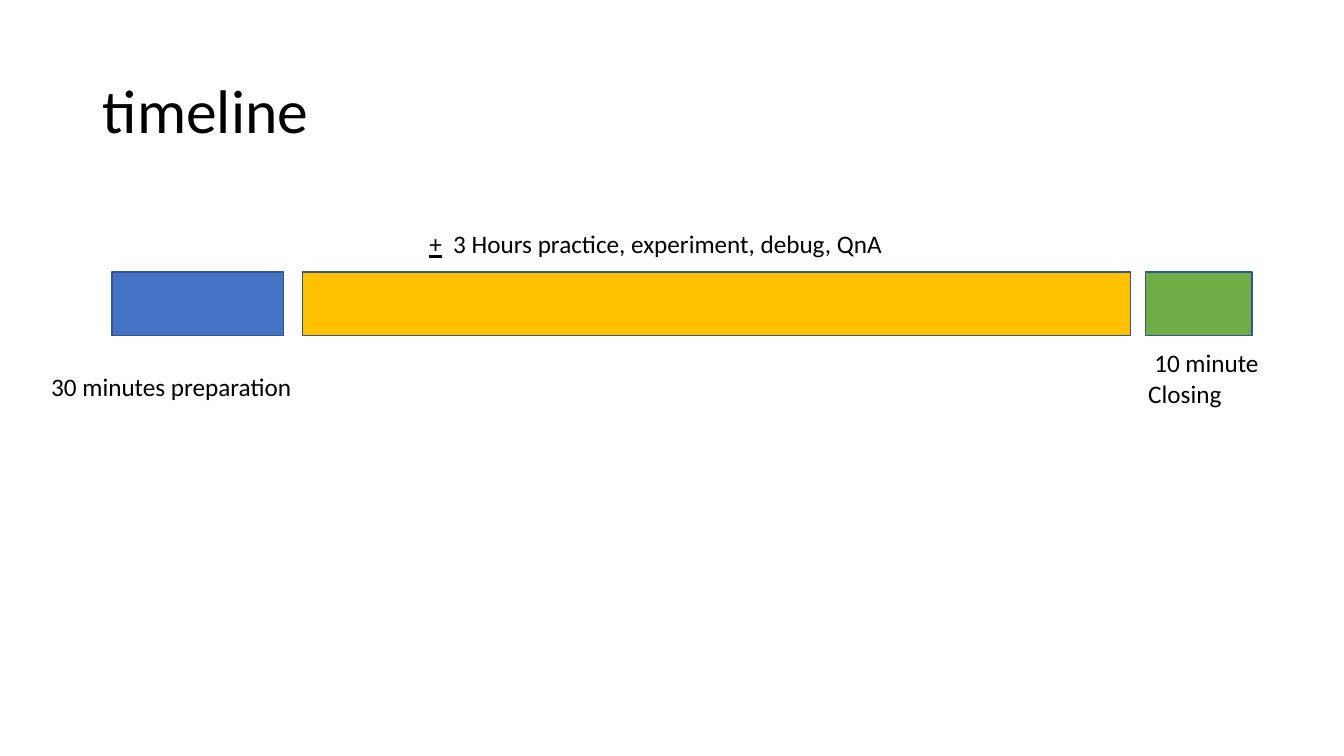
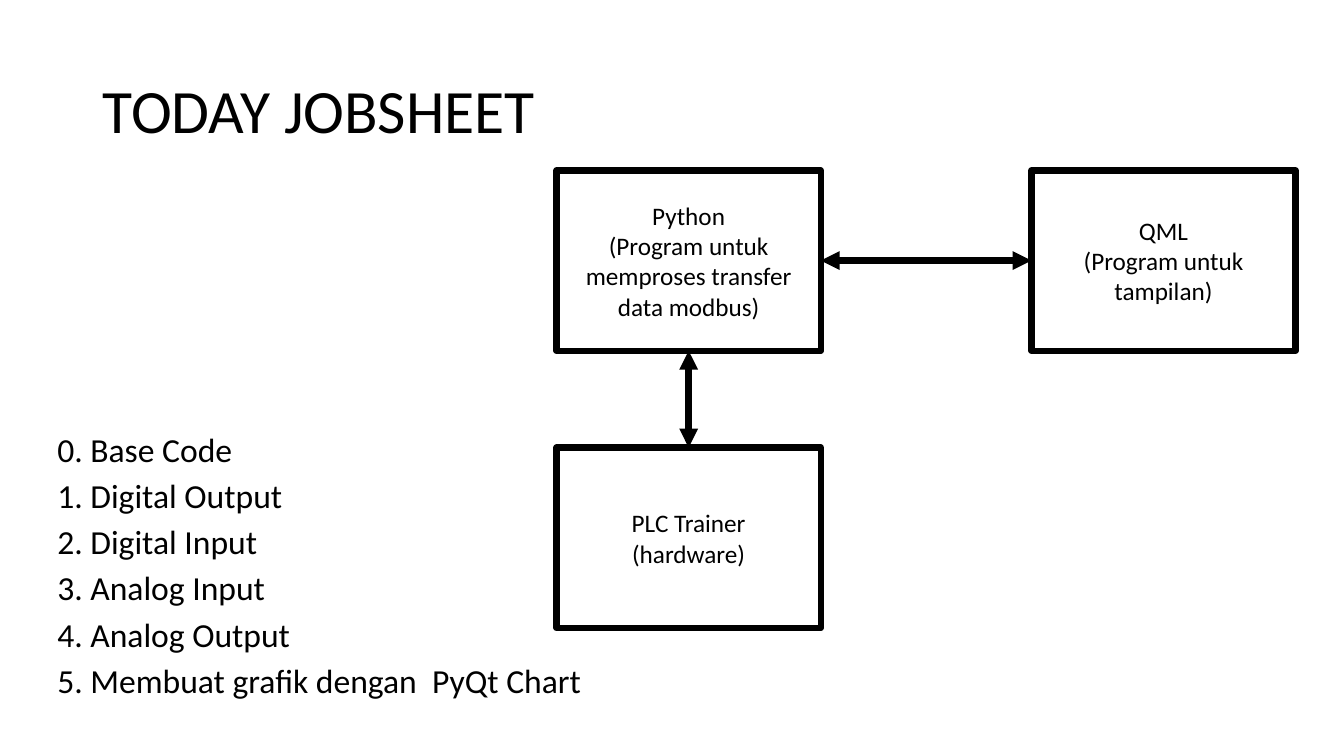
from lxml.etree import SubElement
from pptx import Presentation
from pptx.dml.color import RGBColor
from pptx.enum.shapes import MSO_CONNECTOR, MSO_SHAPE
from pptx.enum.text import MSO_ANCHOR, PP_ALIGN
from pptx.oxml.ns import qn
from pptx.util import Inches, Pt

FONT, BLACK, BAR_EDGE = "Calibri", "000000", "325491"

# Timeline: left, width, fill
BAR_TOP, BAR_H = 2.7, 0.63
BARS = [(1.11, 1.7, "4472C4"), (3, 8.21, "FFC000"), (11.36, 1.06, "70AD47")]
# left, top, width, height, first-line indent, runs as (text, underlined)
LABELS = [
    (0.41, 3.63, 3.1, 0.4, 0, [("30 minutes preparation", False)]),
    (11.29, 3.4, 1.4, 0.71, 0.06, [("10 minute Closing", False)]),
    (4.1, 2.22, 5.67, 0.4, 0.06,
     [("+", True), ("  3 Hours practice, experiment, debug, QnA", False)]),
]

# Jobsheet
JOBS = ["Base Code", "Digital Output", "Digital Input", "Analog Input",
        "Analog Output", "Membuat grafik dengan  PyQt Chart"]
COLS, ROWS, NODE_W, NODE_H = (5.52, 10.23), (1.69, 4.44), 2.62, 1.79
# name: column, row, lines
NODES = {
    "python": (0, 0, ["Python", "(Program untuk memproses transfer data modbus)"]),
    "qml": (1, 0, ["QML", "(Program untuk tampilan)"]),
    "plc": (0, 1, ["PLC Trainer", "(hardware)"]),
}
# from, side, to, side (0 top, 1 left, 2 bottom, 3 right)
LINKS = [("python", 2, "plc", 0), ("python", 3, "qml", 1)]


def rgb(value):
    return RGBColor.from_string(value)


def style(p, size):
    p.font.name, p.font.size = FONT, Pt(size)
    p.font.color.rgb = rgb(BLACK)


def add_slide(prs, title):
    s = prs.slides.add_slide(prs.slide_layouts[5])
    sp = s.shapes.title
    sp.left, sp.top, sp.width, sp.height = map(Inches, (0.92, 0.4, 11.5, 1.45))
    tf = sp.text_frame
    tf.text, tf.vertical_anchor = title, MSO_ANCHOR.MIDDLE
    p = tf.paragraphs[0]
    p.alignment, p.line_spacing = PP_ALIGN.LEFT, 0.9
    style(p, 44)
    return s


def add_text(s, *box):
    tf = s.shapes.add_textbox(*map(Inches, box)).text_frame
    tf.word_wrap = True
    return tf


def add_rect(s, box, fill, line, line_width):
    sp = s.shapes.add_shape(MSO_SHAPE.RECTANGLE, *map(Inches, box))
    sp.shadow.inherit = False
    if fill:
        sp.fill.solid()
        sp.fill.fore_color.rgb = rgb(fill)
    else:
        sp.fill.background()
    sp.line.color.rgb, sp.line.width = rgb(line), Pt(line_width)
    return sp


def fill_lines(tf, lines, size):
    """Write one paragraph per line and return the paragraphs."""
    tf.text = "\n".join(lines)
    for p in tf.paragraphs:
        style(p, size)
    return tf.paragraphs


def add_link(s, start, start_side, end, end_side):
    """Join two nodes with a double-headed arrow."""
    c = s.shapes.add_connector(MSO_CONNECTOR.STRAIGHT, 0, 0, 0, 0)
    c.begin_connect(start, start_side)
    c.end_connect(end, end_side)
    c.line.color.rgb, c.line.width = rgb(BLACK), Pt(4.5)
    ln = c.line._get_or_add_ln()
    for tag in ("a:headEnd", "a:tailEnd"):
        SubElement(ln, qn(tag), type="triangle")
    SubElement(c._element.spPr, qn("a:effectLst"))


def build_timeline(prs):
    s = add_slide(prs, "timeline")
    for left, width, fill in BARS:
        add_rect(s, (left, BAR_TOP, width, BAR_H), fill, BAR_EDGE, 1)
    for *box, indent, runs in LABELS:
        p = add_text(s, *box).paragraphs[0]
        p._p.get_or_add_pPr().set("indent", str(Inches(indent)))
        style(p, 18)
        for text, underlined in runs:
            r = p.add_run()
            r.text = text
            if underlined:
                r.font.underline = True


def build_jobsheet(prs):
    s = add_slide(prs, "TODAY JOBSHEET")
    jobs = [f"{i}. {job}" for i, job in enumerate(JOBS)]
    for i, p in enumerate(fill_lines(add_text(s, 0.47, 4.28, 6.36, 2.74), jobs, 24)):
        p.line_spacing = 0.8
        p.space_before = Pt(10 if i else 0)
    nodes = {}
    for name, (col, row, lines) in NODES.items():
        sp = add_rect(s, (COLS[col], ROWS[row], NODE_W, NODE_H), None, BLACK, 4.5)
        sp.text_frame.vertical_anchor = MSO_ANCHOR.MIDDLE
        for p in fill_lines(sp.text_frame, lines, 18):
            p.alignment = PP_ALIGN.CENTER
        nodes[name] = sp
    for start, start_side, end, end_side in LINKS:
        add_link(s, nodes[start], start_side, nodes[end], end_side)


def main():
    prs = Presentation()
    prs.slide_width, prs.slide_height = Inches(13.33), Inches(7.5)
    build_timeline(prs)
    build_jobsheet(prs)
    prs.save("out.pptx")


if __name__ == "__main__":
    main()
